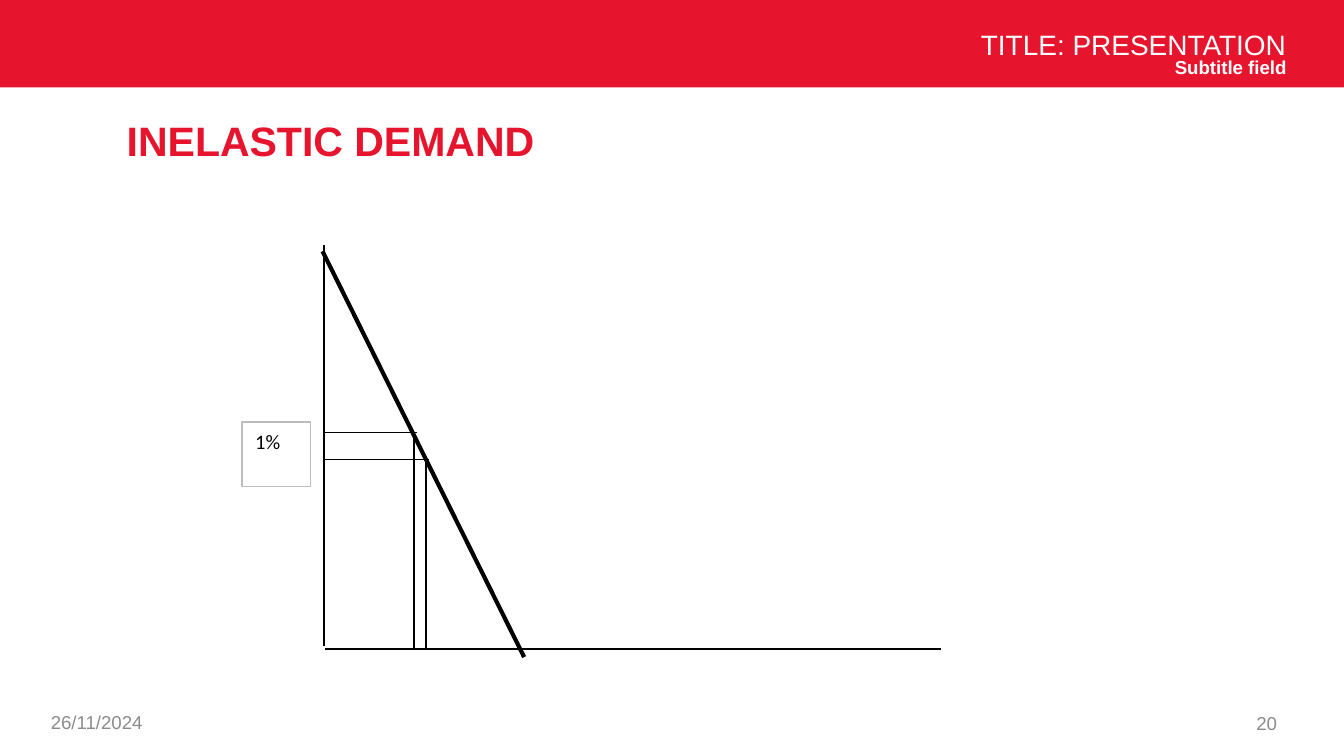
from lxml.etree import SubElement
from pptx import Presentation
from pptx.dml.color import RGBColor
from pptx.enum.shapes import MSO_CONNECTOR, MSO_SHAPE
from pptx.enum.text import MSO_ANCHOR, PP_ALIGN
from pptx.oxml.ns import qn
from pptx.util import Inches, Pt

RED = RGBColor(0xE6, 0x14, 0x2D)
WHITE = RGBColor(0xFF, 0xFF, 0xFF)
BLACK = RGBColor(0x00, 0x00, 0x00)
GREY = RGBColor(0x8C, 0x8C, 0x8C)
PALE_GREY = RGBColor(0xBD, 0xBD, 0xBD)

# Widescreen page, 16 to 9
deck = Presentation()
deck.slide_width = Inches(10)
deck.slide_height = deck.slide_width * 9 // 16
page = deck.slides.add_slide(deck.slide_layouts[6])

# Grid of square cells, 100 columns across the slide
cell = deck.slide_width / 100


def grid(*counts):
    return [round(count * cell) for count in counts]


def write(box, text, colour, font, anchor=MSO_ANCHOR.TOP, para_format=None):
    box.text_frame.word_wrap = True
    box.text_frame.vertical_anchor = anchor
    para = box.text_frame.paragraphs[0]
    for name, value in (para_format or {}).items():
        setattr(para, name, value)
    span = para.add_run()
    span.text = text
    span.font.color.rgb = colour
    for name, value in font.items():
        setattr(span.font, name, value)


# Header band
band = page.shapes.add_shape(MSO_SHAPE.RECTANGLE, *grid(0, 0, 100, 6.5))
band.shadow.inherit = False
band.fill.solid()
band.fill.fore_color.rgb = RED
band.line.fill.background()

# Header, heading and footer texts
right = {"alignment": PP_ALIGN.RIGHT}
header = {**right, "line_spacing": 1.1}
small = {"name": "Arial", "size": Pt(10)}
top, middle = MSO_ANCHOR.TOP, MSO_ANCHOR.MIDDLE
for place, text, colour, font, anchor, para_format in [
    ((2.8, 52.25, 23.3, 3), "26/11/2024", GREY, small, middle, {}),
    ((72.7, 52.3, 23.3, 3), "20", GREY, small, middle, right),
    ((23.1, 1.3, 73.6, 2.6), "TITLE: PRESENTATION", WHITE,
     {**small, "size": Pt(15)}, top, header),
    ((23.1, 3.5, 73.6, 2), "Subtitle field", WHITE,
     {**small, "bold": True}, top, header),
    ((8.45, 7.55, 87.15, 5.7), "INELASTIC DEMAND", RED,
     {**small, "size": Pt(22), "bold": True}, middle, {}),
]:
    box = page.shapes.add_textbox(*grid(*place))
    write(box, text, colour, font, anchor, para_format)

# Axes, demand curve and the two price and quantity guides
axis, base = 24.1, 48.3
lines = [
    (axis, 18.2, axis, 48.1, 1),
    (24.2, base, 70, base, 1),
    (24, 18.7, 39, 48.9, 2.25),
]
for quantity, price, reach in [(30.8, 32.2, 31), (31.7, 34.2, 31.9)]:
    lines.append((axis, price, reach, price, 0.75))
    lines.append((quantity, price + 0.1, quantity, 48.2, 0.75))

for *ends, weight in lines:
    line = page.shapes.add_connector(MSO_CONNECTOR.STRAIGHT, *grid(*ends))
    line.line.color.rgb = BLACK
    line.line.width = Pt(weight)
    SubElement(line._element.spPr, qn("a:effectLst"))

# Price change label
label = page.shapes.add_shape(MSO_SHAPE.RECTANGLE, *grid(18, 31.4, 5.1, 4.8))
label.shadow.inherit = False
label.fill.solid()
label.fill.fore_color.rgb = WHITE
label.line.color.rgb = PALE_GREY
label.line.width = Pt(0.75)
write(label, "1%", BLACK, {"name": "Calibri", "size": Pt(11)},
      para_format={"alignment": PP_ALIGN.LEFT})

deck.save("out.pptx")
